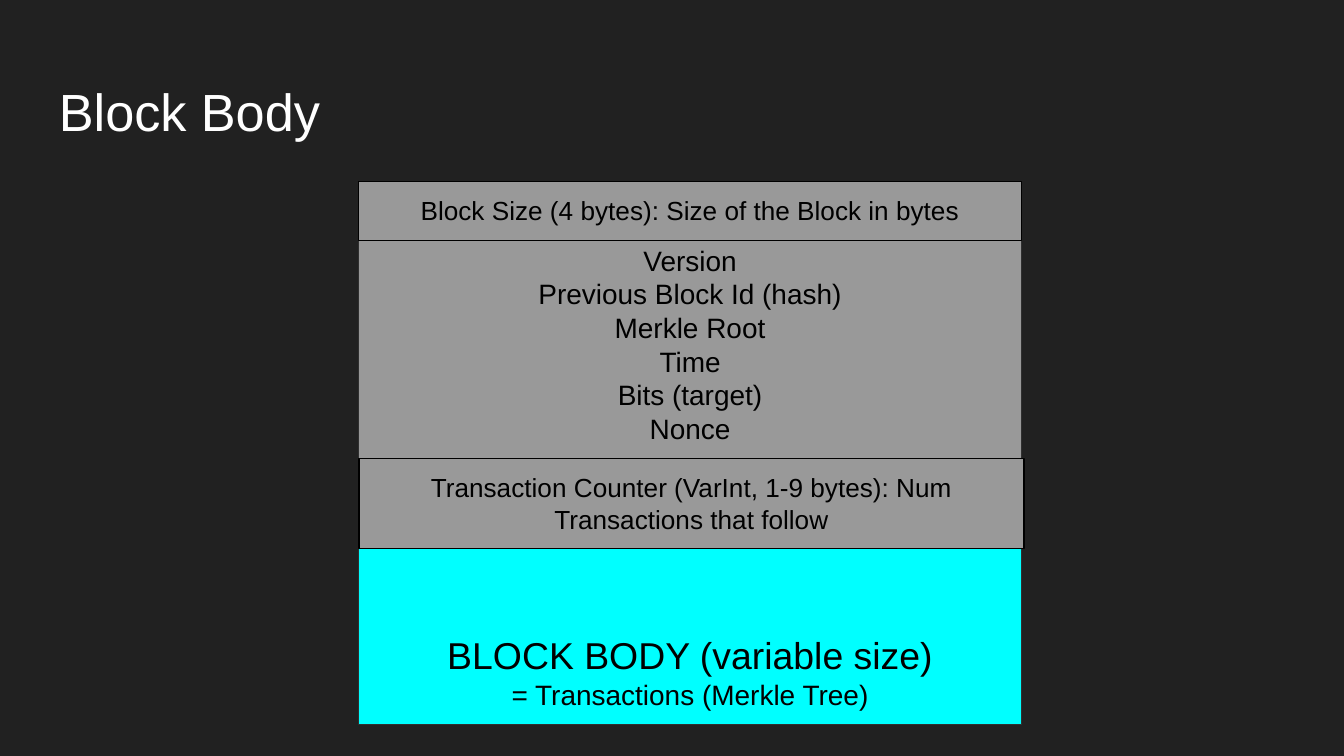
"""Build the Block Body slide: a stacked diagram of the parts of a block."""
from pptx import Presentation
from pptx.dml.color import RGBColor
from pptx.enum.shapes import MSO_SHAPE
from pptx.enum.text import MSO_ANCHOR, MSO_AUTO_SIZE, PP_ALIGN
from pptx.util import Inches, Pt

RECTANGLE = MSO_SHAPE.RECTANGLE
TOP, BOTTOM = MSO_ANCHOR.TOP, MSO_ANCHOR.BOTTOM
LEFT, CENTER = PP_ALIGN.LEFT, PP_ALIGN.CENTER
FIT_SHAPE, NO_FIT = MSO_AUTO_SIZE.SHAPE_TO_FIT_TEXT, MSO_AUTO_SIZE.NONE

THEME = {
    "font": "Arial", "background": "212121", "title": "FFFFFF", "text": "000000",
    "field": "999999", "body": "00FFFF", "soft_line": "303030", "line": "000000",
    "title_size": 28, "lead_size": 20, "list_size": 15, "label_size": 14,
}

TITLE = "Block Body"
SECTIONS = {
    "size": {
        "lines": [("Block Size (4 bytes): Size of the Block in bytes", "label_size")],
        "width": 4.93, "height": 0.44, "fill": "field", "line": "line",
        "anchor": TOP, "fit": FIT_SHAPE,
    },
    "header": {
        "lines": [(field, "list_size") for field in (
            "Version", "Previous Block Id (hash)", "Merkle Root",
            "Time", "Bits (target)", "Nonce")],
        "width": 4.93, "height": 1.62, "fill": "field", "line": "soft_line",
        "anchor": BOTTOM, "fit": NO_FIT,
    },
    "counter": {
        "lines": [("Transaction Counter (VarInt, 1-9 bytes): "
                   "Num Transactions that follow", "label_size")],
        "width": 4.95, "height": 0.67, "fill": "field", "line": "line",
        "anchor": TOP, "fit": FIT_SHAPE,
    },
    "body": {
        "lines": [("BLOCK BODY (variable size)", "lead_size"),
                  ("= Transactions (Merkle Tree)", "list_size")],
        "width": 4.93, "height": 1.31, "fill": "body", "line": "soft_line",
        "anchor": BOTTOM, "fit": NO_FIT,
    },
}
BACK_TO_FRONT = ["body", "header", "size", "counter"]
STACK_LEFT, STACK_TOP = 2.67, 1.35


def color(name):
    return RGBColor.from_string(THEME[name])


def write(frame, lines, text_color, align, anchor, fit):
    frame.text = "\n".join(text for text, _ in lines)
    frame.word_wrap = True
    frame.auto_size = fit
    frame.vertical_anchor = anchor
    frame.margin_left = frame.margin_right = Inches(0.1)
    frame.margin_top = frame.margin_bottom = Inches(0.1)
    for paragraph, (_, size) in zip(frame.paragraphs, lines):
        paragraph.alignment = align
        for run in paragraph.runs:
            run.font.name = THEME["font"]
            run.font.size = Pt(THEME[size])
            run.font.color.rgb = color(text_color)


def add_section(slide, section, top):
    block = slide.shapes.add_shape(
        RECTANGLE, Inches(STACK_LEFT), Inches(top),
        Inches(section["width"]), Inches(section["height"]))
    block.shadow.inherit = False
    block.fill.solid()
    block.fill.fore_color.rgb = color(section["fill"])
    block.line.color.rgb = color(section["line"])
    block.line.width = Pt(0.75)
    write(block.text_frame, section["lines"], "text", CENTER,
          section["anchor"], section["fit"])


def main():
    deck = Presentation()
    deck.slide_width, deck.slide_height = Inches(10), Inches(10 * 9 / 16)
    slide = deck.slides.add_slide(deck.slide_layouts[6])
    slide.background.fill.solid()
    slide.background.fill.fore_color.rgb = color("background")

    title = slide.shapes.add_textbox(
        Inches(0.34), Inches(0.49), Inches(9.32), Inches(0.63))
    write(title.text_frame, [(TITLE, "title_size")], "title", LEFT, TOP, NO_FIT)

    tops, top = {}, STACK_TOP
    for name, section in SECTIONS.items():
        tops[name] = top
        top += section["height"]
    for name in BACK_TO_FRONT:
        add_section(slide, SECTIONS[name], tops[name])
    deck.save("out.pptx")


if __name__ == "__main__":
    main()
